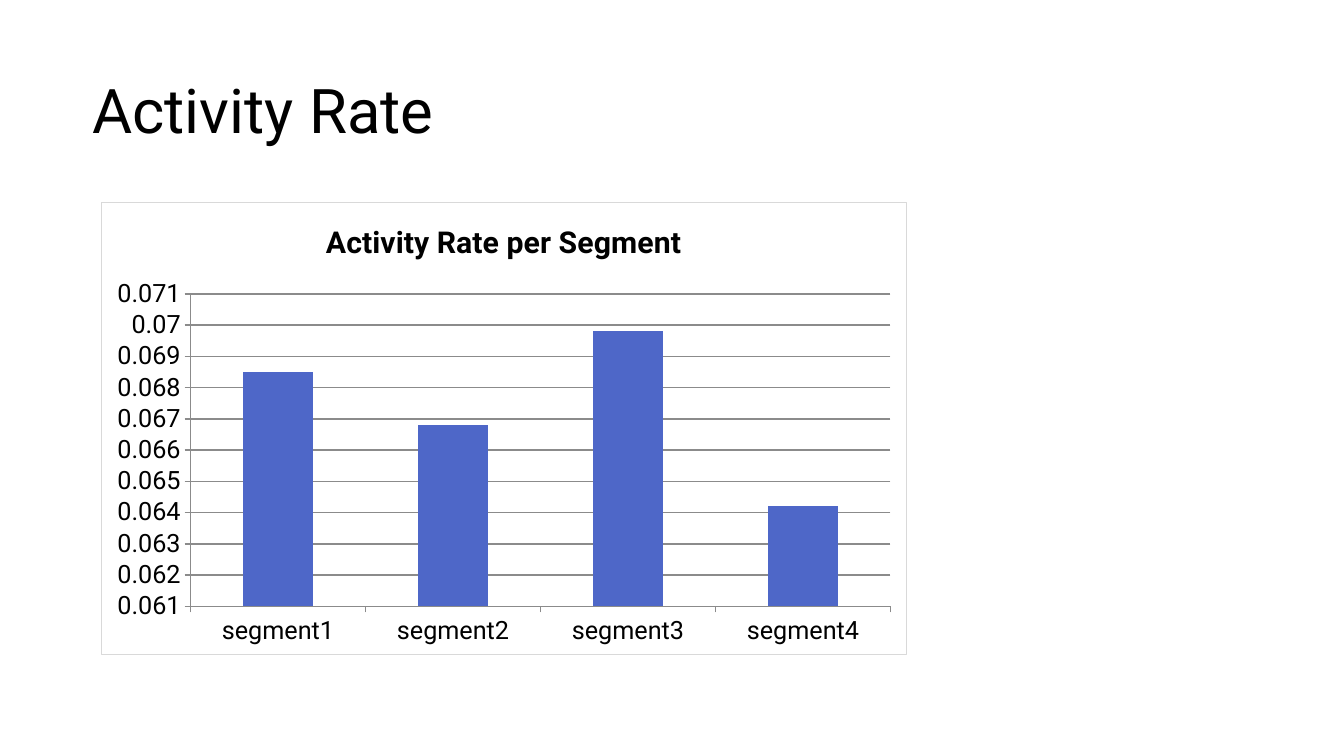
"""Build the Activity Rate slide with a column chart per segment."""
from dataclasses import dataclass

from lxml import etree
from pptx import Presentation
from pptx.chart.data import CategoryChartData
from pptx.dml.color import RGBColor
from pptx.enum.chart import XL_CHART_TYPE, XL_TICK_MARK
from pptx.enum.text import MSO_ANCHOR
from pptx.oxml import parse_xml
from pptx.oxml.ns import nsdecls
from pptx.util import Cm, Pt

COLUMNS = XL_CHART_TYPE.COLUMN_CLUSTERED
TICK_OUTSIDE = XL_TICK_MARK.OUTSIDE
TICK_NONE = XL_TICK_MARK.NONE
MIDDLE = MSO_ANCHOR.MIDDLE


@dataclass(frozen=True)
class Theme:
    font: str = "Roboto"
    text: RGBColor = RGBColor(0x00, 0x00, 0x00)
    bar: RGBColor = RGBColor(0x4E, 0x67, 0xC8)
    axis: RGBColor = RGBColor(0x8B, 0x8B, 0x8B)
    border: RGBColor = RGBColor(0xD9, 0xD9, 0xD9)
    title_size: Pt = Pt(44)
    chart_title_size: Pt = Pt(21.6)
    axis_size: Pt = Pt(18)


theme = Theme()


def style_font(font, size, bold=False):
    font.name = theme.font
    font.size = size
    font.bold = bold
    font.color.rgb = theme.text


def style_line(line):
    line.color.rgb = theme.axis
    line.width = Pt(1)


presentation = Presentation()
presentation.slide_width = Cm(33.87)
presentation.slide_height = Cm(19.05)
slide = presentation.slides.add_slide(presentation.slide_layouts[6])

title_box = slide.shapes.add_textbox(Cm(2.33), Cm(1.02), Cm(29.21), Cm(3.68))
title_frame = title_box.text_frame
title_frame.word_wrap = True
title_frame.vertical_anchor = MIDDLE
title_frame.margin_left = title_frame.margin_right = 0
title_frame.margin_top = title_frame.margin_bottom = 0
title_paragraph = title_frame.paragraphs[0]
title_paragraph.text = "Activity Rate"
title_paragraph.line_spacing = 0.9
style_font(title_paragraph.font, theme.title_size)

activity_rates = CategoryChartData()
activity_rates.categories = ["segment1", "segment2", "segment3", "segment4"]
activity_rates.add_series("Series 1", [0.0685, 0.0668, 0.0698, 0.0642])
chart = slide.shapes.add_chart(
    COLUMNS, Cm(2.54), Cm(5.08), Cm(20.32), Cm(11.43), activity_rates
).chart
chart.has_legend = False
style_font(chart.font, theme.axis_size)

chart.has_title = True
chart.chart_title.include_in_layout = False
chart_title_paragraph = chart.chart_title.text_frame.paragraphs[0]
chart_title_paragraph.text = "Activity Rate per Segment"
style_font(chart_title_paragraph.font, theme.chart_title_size, bold=True)

for axis in (chart.category_axis, chart.value_axis):
    axis.major_tick_mark = TICK_OUTSIDE
    axis.minor_tick_mark = TICK_NONE
    style_font(axis.tick_labels.font, theme.axis_size)
    style_line(axis.format.line)

value_axis = chart.value_axis
value_axis.minimum_scale = 0.061
value_axis.maximum_scale = 0.071
value_axis.major_unit = 0.001
value_axis.has_major_gridlines = True
style_line(value_axis.major_gridlines.format.line)

plot = chart.plots[0]
plot.gap_width = 150
plot.vary_by_categories = False
bar_fill = plot.series[0].format.fill
bar_fill.solid()
bar_fill.fore_color.rgb = theme.bar

chart_border = parse_xml(f"<c:spPr {nsdecls('c', 'a')}><a:noFill/></c:spPr>")
border_line = etree.SubElement(chart_border, "{*}ln".replace("*", chart_border.nsmap["a"]))
border_line.set("w", str(Pt(0.75)))
border_line.append(parse_xml(
    f'<a:solidFill {nsdecls("a")}><a:srgbClr val="{theme.border}"/></a:solidFill>'
))
chart.element.chart.addnext(chart_border)

presentation.save("out.pptx")
